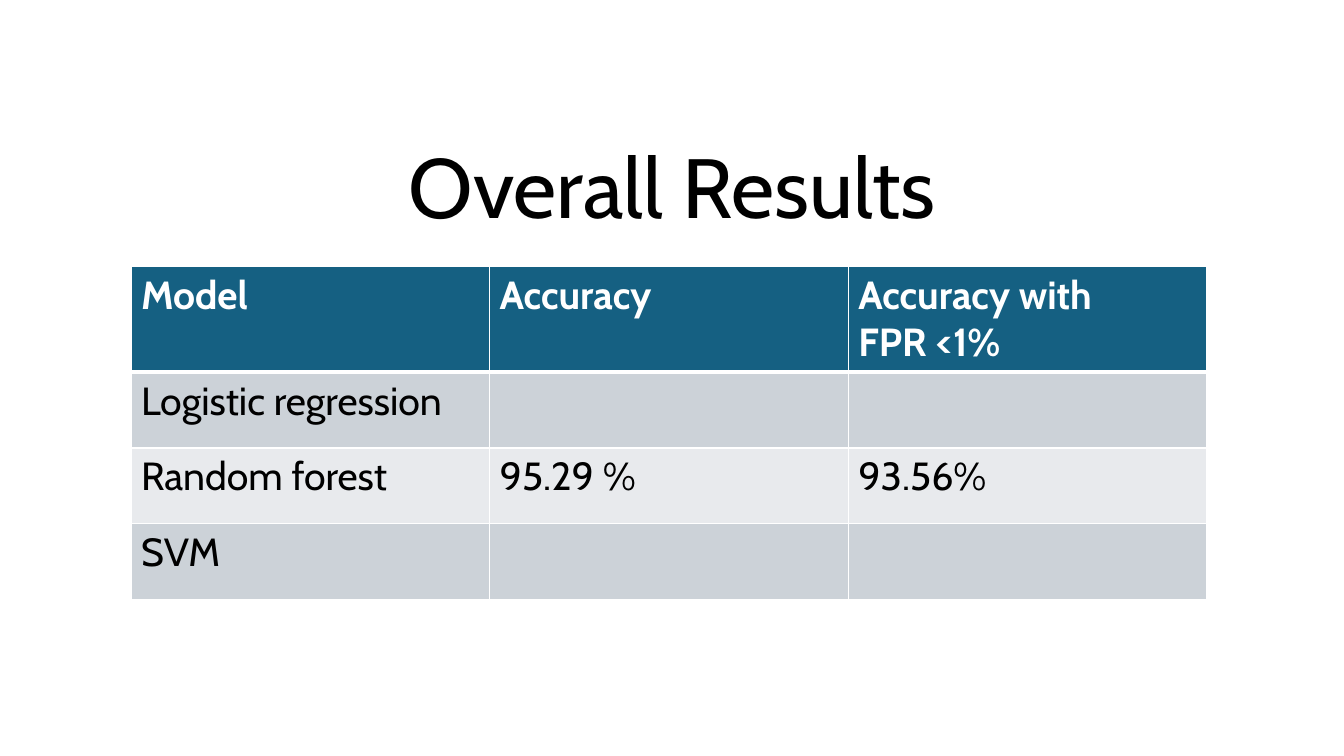
from dataclasses import dataclass
from typing import Any

import lxml.etree
import pptx
import pptx.dml.color
import pptx.enum.text
import pptx.oxml.ns
import pptx.util

Cm = pptx.util.Cm
Pt = pptx.util.Pt
FONT = "Cabin"
WHITE = "FFFFFF"
BLACK = "000000"
COLUMN_WIDTH = 9.04


@dataclass(frozen=True)
class ResultRow:
    entries: tuple[str, str, str]
    fill: str
    height: float = 1.91
    color: str = BLACK
    bold: bool = False
    rule_above: float = 1
    rule_below: float = 1


RESULTS = (
    ResultRow(("Model", "Accuracy", "Accuracy with\nFPR <1%"), "156082",
              height=2.67, color=WHITE, bold=True, rule_below=3),
    ResultRow(("Logistic regression", "", ""), "CCD2D8", rule_above=3),
    ResultRow(("Random forest", "95.29 %", "93.56%"), "E8EAED"),
    ResultRow(("SVM", "", ""), "CCD2D8"),
)


def rgb(color: str) -> pptx.dml.color.RGBColor:
    return pptx.dml.color.RGBColor.from_string(color)


def apply(target: Any, values: dict[str, Any]) -> None:
    for attribute, value in values.items():
        setattr(target, attribute, value)


def format_font(font: Any, size: float, color: str, bold: bool) -> None:
    apply(font, {"name": FONT, "size": Pt(size), "bold": bold})
    font.color.rgb = rgb(color)


def draw_borders(cell: Any, above: float, below: float) -> None:
    properties = cell._tc.get_or_add_tcPr()
    widths = {"L": 1, "R": 1, "T": above, "B": below}
    for order, (side, width) in enumerate(widths.items()):
        border = lxml.etree.Element(pptx.oxml.ns.qn(f"a:ln{side}"), w=str(Pt(width)))
        paint = lxml.etree.SubElement(border, pptx.oxml.ns.qn("a:solidFill"))
        lxml.etree.SubElement(paint, pptx.oxml.ns.qn("a:srgbClr"), val=WHITE)
        properties.insert(order, border)


def draw_heading(slide: Any, text: str) -> None:
    heading = slide.shapes.title
    apply(heading, {"left": Cm(4.24), "top": Cm(3.12),
                    "width": Cm(25.4), "height": Cm(2.97)})
    frame = heading.text_frame
    frame.text = text
    apply(frame, {"auto_size": pptx.enum.text.MSO_AUTO_SIZE.NONE,
                  "word_wrap": True,
                  "vertical_anchor": pptx.enum.text.MSO_ANCHOR.BOTTOM})
    paragraph = frame.paragraphs[0]
    apply(paragraph, {"alignment": pptx.enum.text.PP_ALIGN.CENTER, "line_spacing": 0.9})
    format_font(paragraph.runs[0].font, 60, BLACK, False)


def draw_results(slide: Any, results: tuple[ResultRow, ...]) -> None:
    column_count = len(results[0].entries)
    table = slide.shapes.add_table(
        len(results), column_count, Cm(3.3), Cm(6.71),
        Cm(COLUMN_WIDTH * column_count), Cm(sum(result.height for result in results)),
    ).table
    for column in table.columns:
        column.width = Cm(COLUMN_WIDTH)
    for row, result in zip(table.rows, results):
        row.height = Cm(result.height)
        for cell, entry in zip(row.cells, result.entries):
            cell.text = entry
            cell.fill.solid()
            cell.fill.fore_color.rgb = rgb(result.fill)
            draw_borders(cell, result.rule_above, result.rule_below)
            for paragraph in cell.text_frame.paragraphs:
                for run in paragraph.runs:
                    format_font(run.font, 28, result.color, result.bold)


def main() -> None:
    presentation = pptx.Presentation()
    apply(presentation, {"slide_width": Cm(33.87), "slide_height": Cm(19.05)})
    slide = presentation.slides.add_slide(presentation.slide_layouts[0])
    subtitle = slide.placeholders[1].element
    subtitle.getparent().remove(subtitle)
    draw_heading(slide, "Overall Results")
    draw_results(slide, RESULTS)
    presentation.save("out.pptx")


if __name__ == "__main__":
    main()
